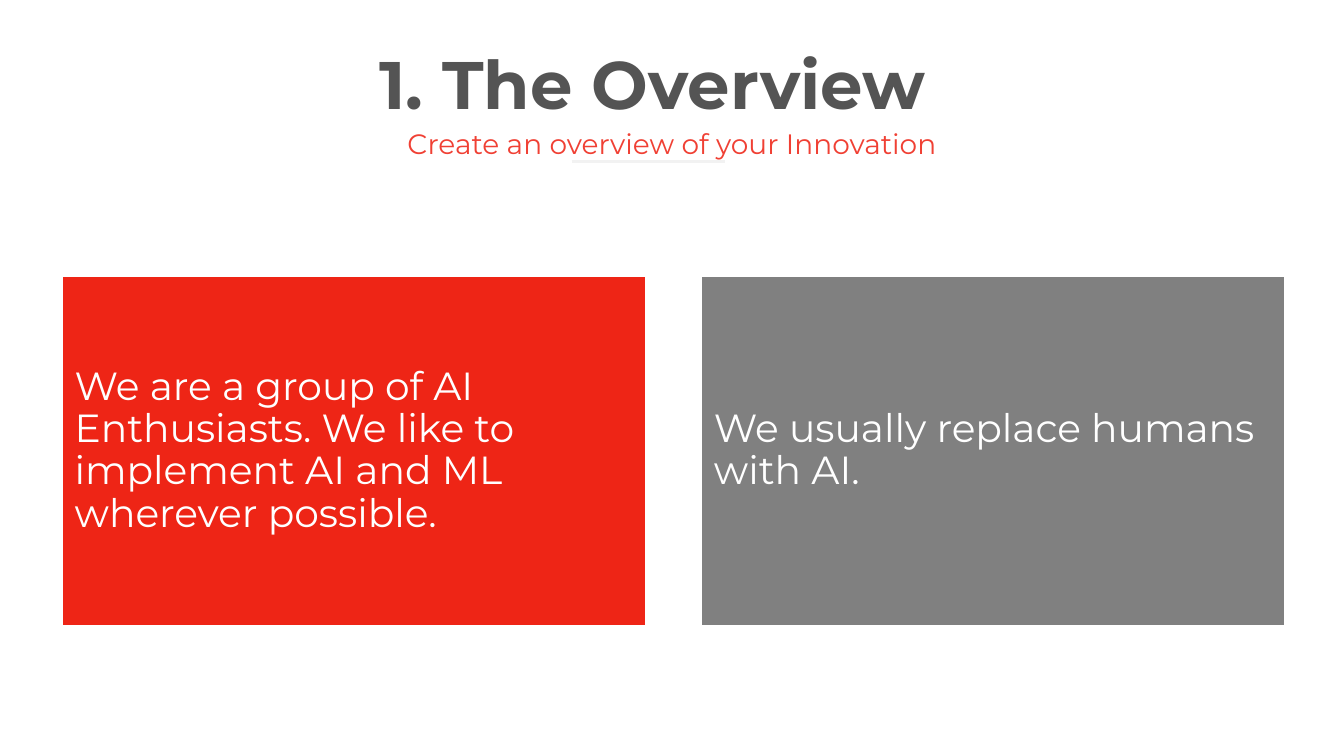
from lxml import etree
from pptx import Presentation
from pptx.dml.color import RGBColor
from pptx.enum.shapes import MSO_CONNECTOR, MSO_SHAPE
from pptx.enum.text import MSO_ANCHOR, MSO_AUTO_SIZE, PP_ALIGN
from pptx.oxml.ns import qn
from pptx.util import Inches, Pt

STRAIGHT = MSO_CONNECTOR.STRAIGHT
RECTANGLE = MSO_SHAPE.RECTANGLE
TOP, MIDDLE = MSO_ANCHOR.TOP, MSO_ANCHOR.MIDDLE
LEFT, CENTER = PP_ALIGN.LEFT, PP_ALIGN.CENTER
NO_AUTOFIT = MSO_AUTO_SIZE.NONE

FONT = "Montserrat"
DARK_GRAY = RGBColor(0x54, 0x54, 0x54)
CORAL = RGBColor(0xF0, 0x40, 0x34)
RED = RGBColor(0xEE, 0x25, 0x16)
GRAY = RGBColor(0x80, 0x80, 0x80)
PALE_GRAY = RGBColor(0xF2, 0xF2, 0xF2)
WHITE = RGBColor(0xFF, 0xFF, 0xFF)

CARD_LEFT, CARD_TOP = 0.62, 2.74
CARD_WIDTH, CARD_HEIGHT = 5.78, 3.47
CARD_STEP = 6.34
CARDS = [
    ("We are a group of AI Enthusiasts. We like to implement AI and ML wherever possible.", RED),
    ("We usually replace humans with AI.", GRAY),
]


def write_text(shape, text, size, color, bold=False, align=LEFT, anchor=TOP,
               line_spacing=1.0, margins=(0.1, 0.05)):
    frame = shape.text_frame
    frame.word_wrap = True
    frame.auto_size = NO_AUTOFIT
    frame.vertical_anchor = anchor
    frame.margin_left = frame.margin_right = Inches(margins[0])
    frame.margin_top = frame.margin_bottom = Inches(margins[1])
    paragraph = frame.paragraphs[0]
    paragraph.alignment = align
    paragraph.line_spacing = line_spacing
    run = paragraph.add_run()
    run.text = text
    run.font.name = FONT
    run.font.size = Pt(size)
    run.font.bold = bold
    run.font.color.rgb = color


def add_underline(slide):
    line = slide.shapes.add_connector(
        STRAIGHT, Inches(5.67), Inches(1.6), Inches(7.19), Inches(1.6))
    line.line.color.rgb = PALE_GRAY
    line.line.width = Pt(2)
    etree.SubElement(line._element.spPr, qn("a:effectLst"))


def add_title(slide, text):
    title = slide.shapes.title
    title.left, title.top = Inches(0.43), Inches(0.52)
    title.width, title.height = Inches(12.08), Inches(0.75)
    write_text(title, text, size=48, color=DARK_GRAY, bold=True,
               align=CENTER, line_spacing=0.8)


def add_subtitle(slide, text):
    subtitle = slide.shapes.add_textbox(
        Inches(1.87), Inches(1.21), Inches(9.59), Inches(0.44))
    write_text(subtitle, text, size=20, color=CORAL, align=CENTER)


def add_card(slide, left, text, fill):
    card = slide.shapes.add_shape(
        RECTANGLE, Inches(left), Inches(CARD_TOP), Inches(CARD_WIDTH), Inches(CARD_HEIGHT))
    card.shadow.inherit = False
    card.fill.solid()
    card.fill.fore_color.rgb = fill
    card.line.color.rgb = WHITE
    card.line.width = Pt(1)
    write_text(card, text, size=28, color=WHITE, anchor=MIDDLE,
               line_spacing=0.9, margins=(0.12, 0.12))


def main():
    presentation = Presentation()
    presentation.slide_width = Inches(13.33)
    presentation.slide_height = Inches(7.5)
    slide = presentation.slides.add_slide(presentation.slide_layouts[5])
    add_underline(slide)
    add_title(slide, "1. The Overview")
    add_subtitle(slide, "Create an overview of your Innovation")
    for index, (text, fill) in enumerate(CARDS):
        add_card(slide, CARD_LEFT + index * CARD_STEP, text, fill)
    presentation.save("out.pptx")


if __name__ == "__main__":
    main()
